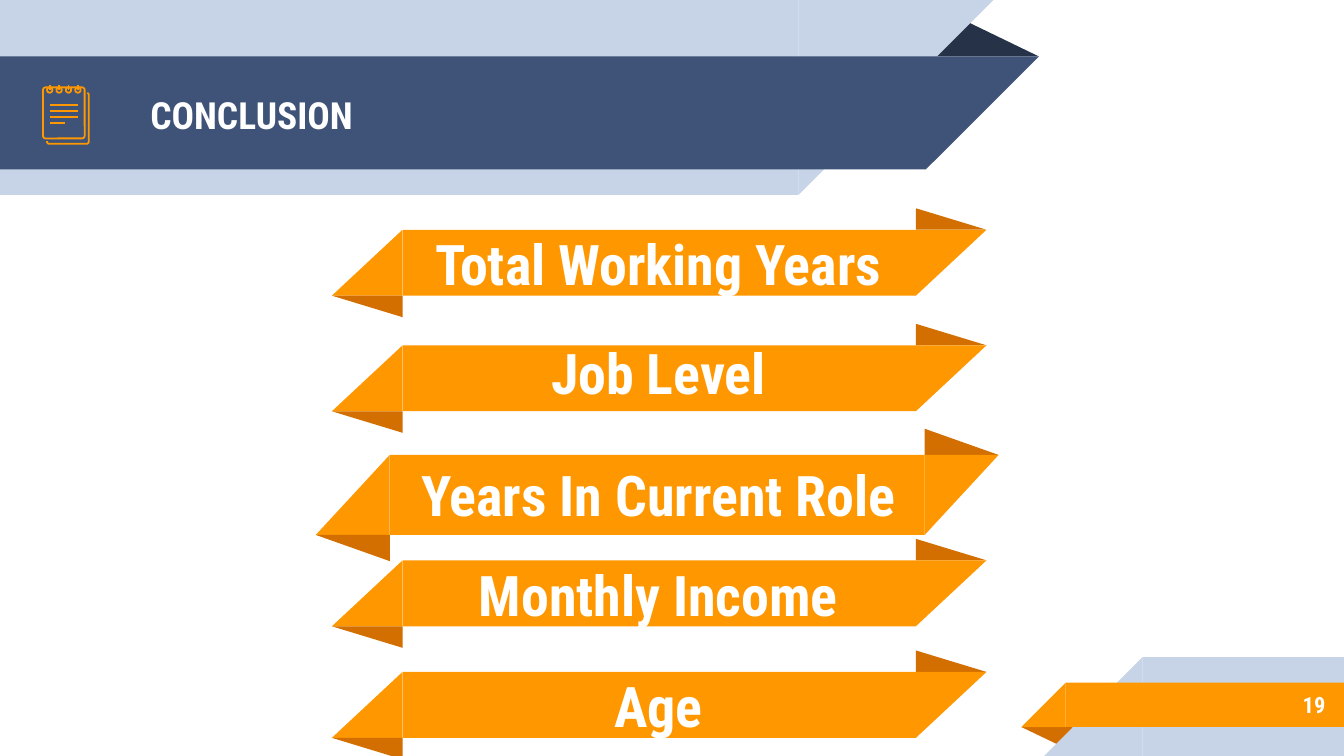
from dataclasses import dataclass
from typing import Any

import pptx
import pptx.dml.color
import pptx.enum.shapes
import pptx.enum.text
import pptx.oxml.ns
import pptx.util
from lxml import etree

SLIDE_WIDTH = pptx.util.Inches(10)
SLIDE_HEIGHT = SLIDE_WIDTH * 9 // 16
COLUMNS = 1000
CELL = SLIDE_WIDTH // COLUMNS

FONT = "Roboto Condensed"
WHITE = "FFFFFF"
PALE_BLUE = "C7D3E6"
BLUE = "3F5378"
NAVY = "263248"
ORANGE = "FF9800"
DARK_ORANGE = "D26F00"
ICON_LINE_WIDTH = 0.96

PRESET = pptx.enum.shapes.MSO_SHAPE
ALIGN = pptx.enum.text.PP_ALIGN


@dataclass(frozen=True)
class Area:
    column: float
    row: float
    columns: float
    rows: float

    def lengths(self) -> list[int]:
        return [round(value * CELL) for value in (self.column, self.row, self.columns, self.rows)]


@dataclass(frozen=True)
class Piece:
    preset: Any
    area: Area
    colour: str
    turned: bool = False
    flipped: bool = False
    adjustment: float | None = None


@dataclass(frozen=True)
class Ribbon:
    text: str
    row: float
    label_row: float
    column: float = 247
    fold_columns: float = 52.5
    body_columns: float = 382
    body_rows: float = 49
    fold_rows: float = 16


HEADER = (
    Piece(PRESET.ISOSCELES_TRIANGLE, Area(688, 14, 85, 28), NAVY, adjustment=0.32),
    Piece(PRESET.RECTANGLE, Area(0, 0, 594, 145), PALE_BLUE),
    Piece(PRESET.RIGHT_TRIANGLE, Area(594, 0, 145, 145), PALE_BLUE, turned=True, flipped=True),
    Piece(PRESET.RECTANGLE, Area(0, 42, 689, 84), BLUE),
    Piece(PRESET.RIGHT_TRIANGLE, Area(689, 42, 84, 84), BLUE, turned=True, flipped=True),
)

FOOTER = (
    Piece(PRESET.ISOSCELES_TRIANGLE, Area(760, 541, 43, 14), DARK_ORANGE, turned=True, adjustment=0.32),
    Piece(PRESET.RECTANGLE, Area(850, 489, 150, 73.5), PALE_BLUE),
    Piece(PRESET.RIGHT_TRIANGLE, Area(777, 489, 73, 73.5), PALE_BLUE, flipped=True),
    Piece(PRESET.RECTANGLE, Area(793, 508, 207, 33), ORANGE),
    Piece(PRESET.RIGHT_TRIANGLE, Area(760, 508, 33, 33), ORANGE, flipped=True),
)

RIBBONS = (
    Ribbon("Total Working Years", 171, 172),
    Ribbon("Job Level", 257, 253),
    Ribbon("Years In Current Role", 338.5, 344, 235, 55, 398, 59.5, 19.5),
    Ribbon("Monthly Income", 417, 418),
    Ribbon("Age", 500, 501),
)


def colour_of(value: str) -> pptx.dml.color.RGBColor:
    return pptx.dml.color.RGBColor.from_string(value)


def draw_pieces(slide: Any, pieces: tuple[Piece, ...]) -> None:
    group = slide.shapes.add_group_shape()
    for piece in pieces:
        shape = group.shapes.add_shape(piece.preset, *piece.area.lengths())
        shape.shadow.inherit = False
        shape.fill.solid()
        shape.fill.fore_color.rgb = colour_of(piece.colour)
        shape.line.fill.background()
        if piece.adjustment is not None:
            shape.adjustments[0] = piece.adjustment
        if piece.turned:
            shape.rotation = 180
        if piece.flipped:
            shape._element.spPr.xfrm.set("flipH", "1")


def draw_text(slide: Any, text: str, area: Area, size: int, alignment: Any) -> None:
    text_frame = slide.shapes.add_textbox(*area.lengths()).text_frame
    text_frame.word_wrap = True
    text_frame.vertical_anchor = pptx.enum.text.MSO_ANCHOR.MIDDLE
    for side in ("left", "right", "top", "bottom"):
        setattr(text_frame, f"margin_{side}", pptx.util.Inches(0.1))
    text_frame.text = text
    paragraph = text_frame.paragraphs[0]
    paragraph.alignment = alignment
    font = paragraph.runs[0].font
    font.name = FONT
    font.size = pptx.util.Pt(size)
    font.bold = True
    font.color.rgb = colour_of(WHITE)


def draw_ribbon(slide: Any, ribbon: Ribbon) -> None:
    left, top = ribbon.column, ribbon.row
    fold, height = ribbon.fold_columns, ribbon.body_rows
    body = left + fold
    right = body + ribbon.body_columns
    draw_pieces(slide, (
        Piece(PRESET.ISOSCELES_TRIANGLE, Area(right, top - ribbon.fold_rows, fold, ribbon.fold_rows),
              DARK_ORANGE, adjustment=0),
        Piece(PRESET.RECTANGLE, Area(body, top, ribbon.body_columns, height), ORANGE),
        Piece(PRESET.RIGHT_TRIANGLE, Area(right, top, fold, height), ORANGE, turned=True, flipped=True),
        Piece(PRESET.RIGHT_TRIANGLE, Area(left, top, fold, height), ORANGE, flipped=True),
        Piece(PRESET.ISOSCELES_TRIANGLE, Area(left, top + height, fold, ribbon.fold_rows),
              DARK_ORANGE, turned=True, adjustment=0),
    ))
    draw_text(slide, ribbon.text, Area(301, ribbon.label_row, 378, 48), 30, ALIGN.CENTER)


def style_outline(shape: Any) -> None:
    shape.line.color.rgb = colour_of(ORANGE)
    shape.line.width = pptx.util.Pt(ICON_LINE_WIDTH)


def draw_outline(group: Any, preset: Any, area: Area) -> Any:
    shape = group.shapes.add_shape(preset, *area.lengths())
    shape.shadow.inherit = False
    shape.fill.background()
    style_outline(shape)
    return shape


def draw_line(group: Any, column: float, row: float, columns: float, rows: float) -> None:
    ends = [round(value * CELL) for value in (column, row, column + columns, row + rows)]
    connector = group.shapes.add_connector(pptx.enum.shapes.MSO_CONNECTOR.STRAIGHT, *ends)
    style_outline(connector)
    etree.SubElement(connector._element.spPr, pptx.oxml.ns.qn("a:effectLst"))


def draw_notepad(slide: Any) -> None:
    group = slide.shapes.add_group_shape()
    builder = group.shapes.build_freeform(35, 105, scale=CELL)
    builder.add_line_segments(
        [(35, 106), (36, 107), (65, 107), (66, 106), (66, 70), (65, 69)], close=False)
    back_page = builder.convert_to_shape()
    back_page.shadow.inherit = False
    back_page.fill.background()
    style_outline(back_page)
    front_page = draw_outline(group, PRESET.ROUNDED_RECTANGLE, Area(32, 65, 31, 38))
    front_page.adjustments[0] = 0.06
    for ring in range(4):
        column = 35 + 7 * ring
        draw_outline(group, PRESET.OVAL, Area(column, 65, 4, 4))
        draw_line(group, column + 2, 63, 0, 4)
    for index, columns in enumerate((21, 21, 21, 11)):
        draw_line(group, 37, 78 + 4.5 * index, columns, 0)


def main() -> None:
    presentation = pptx.Presentation()
    presentation.slide_width = SLIDE_WIDTH
    presentation.slide_height = SLIDE_HEIGHT
    slide = presentation.slides.add_slide(presentation.slide_layouts[6])
    draw_pieces(slide, HEADER)
    draw_pieces(slide, FOOTER)
    draw_text(slide, "CONCLUSION", Area(102, 51, 507, 69), 20, ALIGN.LEFT)
    draw_text(slide, "19", Area(833, 507, 163, 35), 12, ALIGN.RIGHT)
    draw_notepad(slide)
    for ribbon in RIBBONS:
        draw_ribbon(slide, ribbon)
    presentation.save("out.pptx")


if __name__ == "__main__":
    main()
